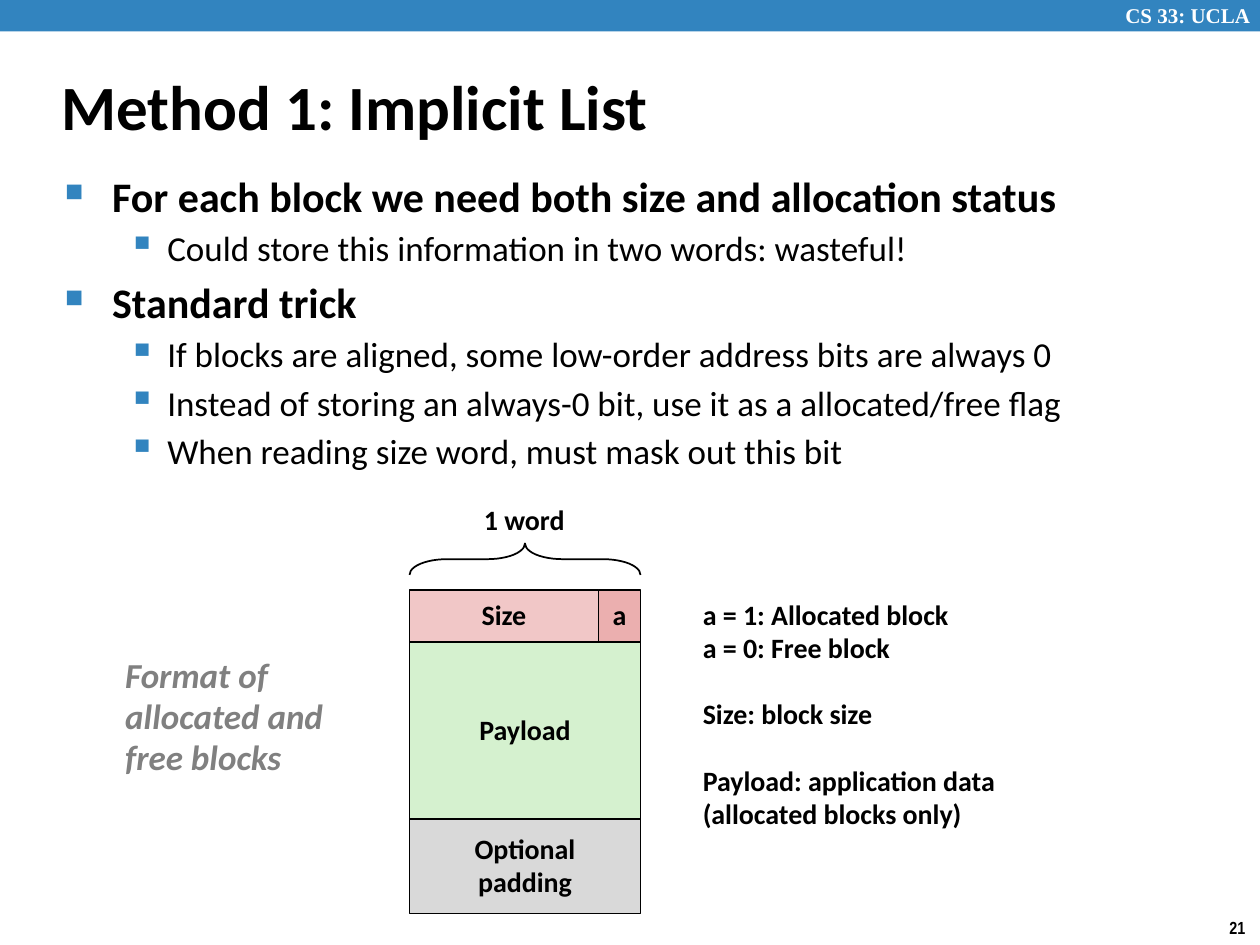
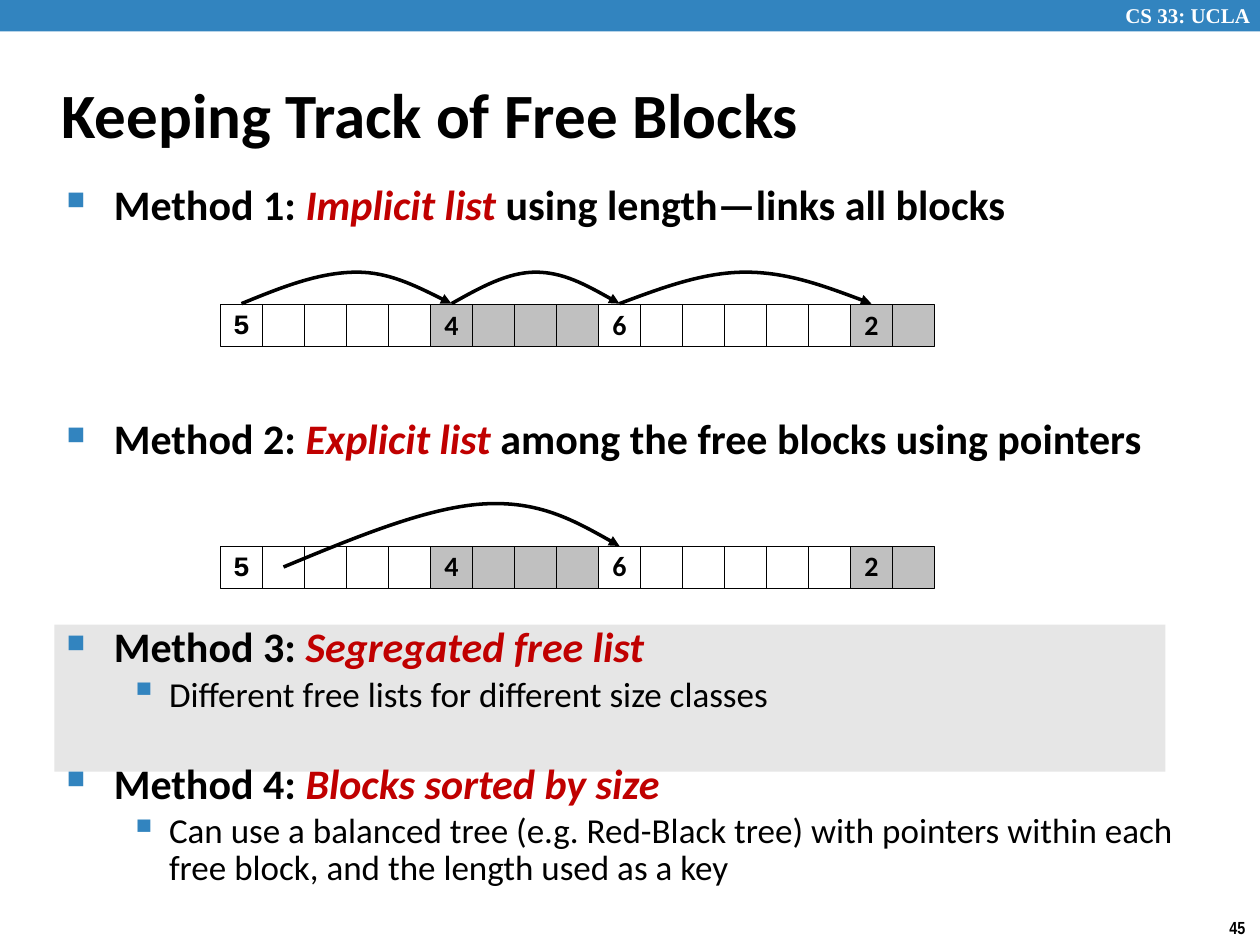
from pptx import Presentation
from pptx.dml.color import RGBColor
from pptx.enum import shapes, text
from pptx.oxml.ns import qn
from pptx.oxml.xmlchemy import OxmlElement
from pptx.util import Pt

BLUE = RGBColor(0x32, 0x84, 0xBF)
RED = RGBColor(0xC0, 0x00, 0x00)
BLACK = RGBColor(0x00, 0x00, 0x00)
WHITE = RGBColor(0xFF, 0xFF, 0xFF)
LABEL_GRAY = RGBColor(0x80, 0x80, 0x80)
PANEL_GRAY = RGBColor(0xE6, 0xE6, 0xE6)
PADDING_GRAY = RGBColor(0xD9, 0xD9, 0xD9)
USED_GRAY = RGBColor(0xC0, 0xC0, 0xC0)
SIZE_PINK = RGBColor(0xF1, 0xC7, 0xC7)
FLAG_PINK = RGBColor(0xEB, 0xAF, 0xAF)
PAYLOAD_GREEN = RGBColor(0xD5, 0xF1, 0xCF)

SHAPE = shapes.MSO_SHAPE
CELL = 24
ROW_LEFT = 126
# Per outline level: font size, left margin, hanging indent, space before, bullet, bullet size
LEVELS = [(24, 27, 27, 4.3, "■", 60000), (20, 58.5, 22.5, 3.6, "▪", 110000)]


class Deck:
    """Holds the shared style and the slide being drawn."""

    def __init__(self):
        self.prs = Presentation()
        self.prs.slide_width, self.prs.slide_height = Pt(720), Pt(540)
        self.slide = None

    def new_slide(self, title, number, top, height):
        self.slide = self.prs.slides.add_slide(self.prs.slide_layouts[5])
        # Top band and page number
        self.box(SHAPE.RECTANGLE, 0, 0, 720, 18, fill=BLUE)
        self.label(636, -2, 89, 22, ["CS 33: UCLA"], 12, WHITE, font="Times New Roman", spacing=1)
        self.label(695.5, 520.5, 24.5, 19, [number], 10, font="Arial Narrow", spacing=1)
        # Title
        sp = self.slide.shapes.title
        sp.left, sp.top, sp.width, sp.height = Pt(28), Pt(top), Pt(600), Pt(height)
        tf = sp.text_frame
        tf.text = title
        tf.auto_size = text.MSO_AUTO_SIZE.NONE
        tf.vertical_anchor = text.MSO_ANCHOR.MIDDLE
        tf.paragraphs[0].alignment = text.PP_ALIGN.LEFT
        self.font(tf.paragraphs[0].runs[0], 36)

    def font(self, r, size, color=BLACK, bold=True, italic=False, name="Calibri"):
        f = r.font
        f.size, f.name, f.bold, f.italic = Pt(size), name, bold, italic
        f.color.rgb = color

    def set_lines(self, tf, lines, size, color=BLACK, font="Calibri", italic=False,
                  align=text.PP_ALIGN.LEFT, spacing=0.98, gaps=()):
        tf.word_wrap = False
        tf.text = "\n".join(lines)
        for i, p in enumerate(tf.paragraphs):
            p.alignment, p.line_spacing = align, spacing
            p.space_before = Pt(19.1 if i in gaps else 0)
            self.font(p.runs[0], size, color, italic=italic, name=font)

    def label(self, x, y, w, h, lines, size, color=BLACK, **style):
        sp = self.slide.shapes.add_textbox(Pt(x), Pt(y), Pt(w), Pt(h))
        self.set_lines(sp.text_frame, lines, size, color, **style)

    def box(self, kind, x, y, w, h, fill=None, line=None, lines=(), **style):
        sp = self.slide.shapes.add_shape(kind, Pt(x), Pt(y), Pt(w), Pt(h))
        self.paint(sp, fill, line)
        if lines:
            sp.text_frame.vertical_anchor = text.MSO_ANCHOR.MIDDLE
            self.set_lines(sp.text_frame, lines, 16, align=text.PP_ALIGN.CENTER, **style)
        return sp

    def paint(self, sp, fill, line):
        sp.shadow.inherit = False
        if fill is None:
            sp.fill.background()
        else:
            sp.fill.solid()
            sp.fill.fore_color.rgb = fill
        if line is None:
            sp.line.fill.background()
        else:
            sp.line.color.rgb = BLACK
            sp.line.width = Pt(line)

    def outline(self, x, y, w, h, items):
        """Bulleted text; an item is (level, parts, line spacing, space before or None).
        Every second part is emphasised."""
        tf = self.slide.shapes.add_textbox(Pt(x), Pt(y), Pt(w), Pt(h)).text_frame
        tf.word_wrap = True
        for i, (level, parts, spacing, before) in enumerate(items):
            size, margin, hang, gap, char, scale = LEVELS[level]
            p = tf.paragraphs[0] if i == 0 else tf.add_paragraph()
            p.level, p.line_spacing = level, spacing
            p.space_before = Pt(gap if before is None else before)
            for j, part in enumerate(parts):
                r = p.add_run()
                r.text = part
                self.font(r, size, RED if j % 2 else BLACK, level == 0, j % 2 == 1)
            pPr = p._p.get_or_add_pPr()
            pPr.set("marL", str(Pt(margin)))
            pPr.set("indent", str(-Pt(hang)))
            color = OxmlElement("a:buClr")
            rgb = OxmlElement("a:srgbClr")
            rgb.set("val", str(BLUE))
            color.append(rgb)
            bullet_size = OxmlElement("a:buSzPct")
            bullet_size.set("val", str(scale))
            bullet = OxmlElement("a:buChar")
            bullet.set("char", char)
            pPr.extend([color, bullet_size, bullet])

    def heap_row(self, top):
        """A row of word cells; each block shows its length in its first cell."""
        col = 0
        for length, used in [(5, False), (4, True), (6, False), (2, True)]:
            for word in range(length):
                style = {"font": "Courier New", "spacing": 0.94} if col == 0 else {}
                self.box(SHAPE.RECTANGLE, ROW_LEFT + col * CELL, top, CELL, CELL,
                         USED_GRAY if used else WHITE, 0.25,
                         [str(length)] if word == 0 else (), **style)
                col += 1

    def curve(self, points):
        """Arrow along two joined cubic curves, given by seven points."""
        start, *rest = [(Pt(x), Pt(y)) for x, y in points]
        builder = self.slide.shapes.build_freeform(*start)
        builder.add_line_segments(rest, close=False)
        sp = builder.convert_to_shape()
        self.paint(sp, None, 2)
        segments = list(sp._element.iter(qn("a:lnTo")))
        for i in (0, 3):
            cubic = OxmlElement("a:cubicBezTo")
            segments[i].addprevious(cubic)
            for segment in segments[i:i + 3]:
                cubic.append(segment[0])
                segment.getparent().remove(segment)
        tail = OxmlElement("a:tailEnd")
        tail.set("type", "triangle")
        sp.line._get_or_add_ln().append(tail)

    def hop(self, first, last, base, peak=0.5):
        """Arched arrow between the tops of two cells."""
        x = ROW_LEFT + (first + 0.5) * CELL
        span = (last - first) * CELL
        steps = [0, peak / 3, peak * 2 / 3, peak,
                 peak + (1 - peak) / 3, peak + (1 - peak) * 2 / 3, 1]
        rises = [0, 9, 18, 18, 18, 9, 0]
        self.curve([(x + s * span, base - rise) for s, rise in zip(steps, rises)])


def implicit_list(deck):
    deck.new_slide("Method 1: Implicit List", "21", 37.5, 45)
    deck.outline(30, 93.6, 650, 170, [
        (0, ["For each block we need both size and allocation status"], 1, None),
        (1, ["Could store this information in two words: wasteful!"], 1, None),
        (0, ["Standard trick"], 1, None),
        (1, ["If blocks are aligned, some low-order address bits are always 0"], 1, None),
        (1, ["Instead of storing an always-0 bit, use it as a allocated/free flag"], 1, None),
        (1, ["When reading size word, must mask out this bit"], 1, None),
    ])
    # Block layout
    for x, y, w, h, fill, lines in [
        (234, 337, 108, 30, SIZE_PINK, ["Size"]),
        (342, 337, 24, 30, FLAG_PINK, ["a"]),
        (234, 367, 132, 101, PAYLOAD_GREEN, ["Payload"]),
        (234, 468, 132, 54, PADDING_GRAY, ["Optional", "padding"]),
    ]:
        deck.box(SHAPE.RECTANGLE, x, y, w, h, fill, 1, lines)
    brace = deck.box(SHAPE.RIGHT_BRACE, 291, 253.5, 18, 132, line=1)
    brace.rotation = 270
    brace.adjustments[0] = 1.19
    # Captions
    deck.label(269.5, 284.4, 61, 26.5, ["1 word"], 16)
    deck.label(64.5, 371, 128, 78.5, ["Format of", "allocated and", "free blocks"],
               20, LABEL_GRAY, italic=True)
    deck.label(394.5, 339, 183.5, 160, [
        "a = 1: Allocated block", "a = 0: Free block", "Size: block size",
        "Payload: application data", "(allocated blocks only)"], 16, gaps=(2, 3))


def free_blocks(deck):
    deck.new_slide("Keeping Track of Free Blocks", "45", 34.5, 60)
    deck.box(SHAPE.RECTANGLE, 31, 357, 635, 84, fill=PANEL_GRAY)
    deck.outline(31, 98.6, 653, 423, [
        (0, ["Method 1: ", "Implicit list ", "using length—links all blocks"], 1, None),
        (0, ["Method 2: ", "Explicit list ", "among the free blocks using pointers"], 1, 105),
        (0, ["Method 3: ", "Segregated free list"], 0.83, 95),
        (1, ["Different free lists for different size classes"], 0.88, None),
        (0, ["Method 4: ", "Blocks sorted by size"], 0.83, 29.4),
        (1, ["Can use a balanced tree (e.g. Red-Black tree) with pointers within each "
             "free block, and the length used as a key"], 0.88, None),
    ])
    # Implicit list: every block leads to the next
    deck.heap_row(174)
    deck.hop(0, 5, 173.5, peak=0.55)
    deck.hop(5, 9, 173.5)
    deck.hop(9, 15, 173.5)
    # Explicit list: a free block points to the next free one
    deck.heap_row(312)
    deck.curve([(162, 324), (203, 307), (244, 290), (276, 288),
                (308, 286), (331, 299), (354, 312)])


def main():
    deck = Deck()
    implicit_list(deck)
    free_blocks(deck)
    deck.prs.save("out.pptx")


if __name__ == "__main__":
    main()
